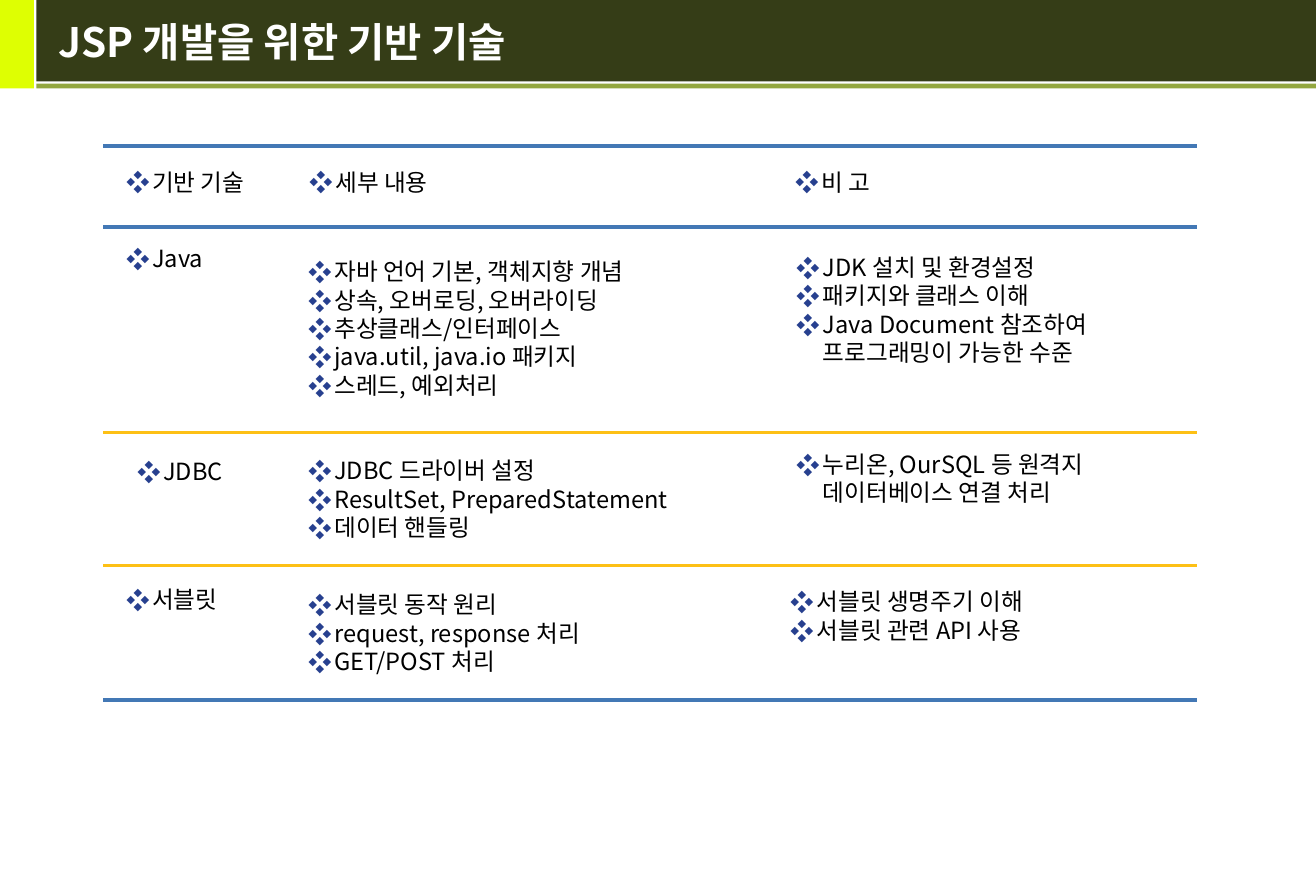
from dataclasses import dataclass

import lxml.etree
import pptx
import pptx.dml.color
import pptx.enum.shapes
import pptx.enum.text
import pptx.oxml.ns
import pptx.util

Cm = pptx.util.Cm
Pt = pptx.util.Pt
qn = pptx.oxml.ns.qn

FONT = "Noto Sans CJK KR"
COLORS = {
    "lime": "DEFF02",
    "dark": "353D17",
    "olive": "93A73F",
    "white": "FFFFFF",
    "black": "000000",
    "bullet": "27408F",
    "blue": "4378B5",
    "gold": "FDC015",
}
RULE_LEFT, RULE_RIGHT = 2.16, 25.02
BULLET_INDENT = Cm(0.54)


@dataclass(frozen=True)
class Box:
    left: float
    top: float
    width: float
    height: float

    def lengths(self) -> tuple:
        return Cm(self.left), Cm(self.top), Cm(self.width), Cm(self.height)


@dataclass(frozen=True)
class Band:
    box: Box
    color: str


@dataclass(frozen=True)
class Rule:
    y: float
    color: str
    weight: float


@dataclass(frozen=True)
class Cell:
    box: Box
    items: tuple[str, ...]


BANDS = [
    Band(Box(0, 0, 0.71, 1.85), "lime"),
    Band(Box(0.76, 0, 26.75, 1.7), "dark"),
    Band(Box(0.76, 1.75, 26.75, 0.1), "olive"),
]
RULES = [
    Rule(3.05, "blue", 2.25),
    Rule(4.75, "blue", 2.25),
    Rule(9.04, "gold", 1.5),
    Rule(11.81, "gold", 1.5),
    Rule(14.63, "blue", 2.25),
]
CELLS = [
    Cell(Box(2.39, 3.35, 4.98, 0.89), ("기반 기술",)),
    Cell(Box(6.22, 3.35, 6.12, 0.89), ("세부 내용",)),
    Cell(Box(16.38, 3.35, 7.42, 0.89), ("비 고",)),
    Cell(Box(2.39, 4.93, 3.12, 0.94), ("Java",)),
    Cell(Box(6.2, 5.33, 17.22, 3.05), (
        "자바 언어 기본, 객체지향 개념",
        "상속, 오버로딩, 오버라이딩",
        "추상클래스/인터페이스",
        "java.util, java.io 패키지",
        "스레드, 예외처리",
    )),
    Cell(Box(16.41, 4.83, 8.61, 3.28), (
        "JDK 설치 및 환경설정",
        "패키지와 클래스 이해",
        "Java Document 참조하여\n프로그래밍이 가능한 수준",
    )),
    Cell(Box(2.62, 9.25, 3.12, 1.17), ("JDBC",)),
    Cell(Box(6.2, 9.25, 10.9, 2.34), (
        "JDBC 드라이버 설정",
        "ResultSet, PreparedStatement",
        "데이터 핸들링",
    )),
    Cell(Box(16.41, 9.14, 8.61, 1.7), ("누리온, OurSQL 등 원격지\n데이터베이스 연결 처리",)),
    Cell(Box(2.39, 12.04, 3.12, 0.94), ("서블릿",)),
    Cell(Box(6.2, 12.04, 10.9, 2.36), (
        "서블릿 동작 원리",
        "request, response 처리",
        "GET/POST 처리",
    )),
    Cell(Box(16.28, 12.27, 8.53, 1.19), (
        "서블릿 생명주기 이해",
        "서블릿 관련 API 사용",
    )),
]


def rgb(name: str) -> pptx.dml.color.RGBColor:
    return pptx.dml.color.RGBColor.from_string(COLORS[name])


def add_band(s, band: Band) -> None:
    sp = s.shapes.add_shape(pptx.enum.shapes.MSO_SHAPE.RECTANGLE, *band.box.lengths())
    sp.shadow.inherit = False
    sp.fill.solid()
    sp.fill.fore_color.rgb = rgb(band.color)
    sp.line.fill.background()


def add_rule(s, rule: Rule) -> None:
    line = s.shapes.add_connector(
        pptx.enum.shapes.MSO_CONNECTOR.STRAIGHT,
        Cm(RULE_LEFT), Cm(rule.y), Cm(RULE_RIGHT), Cm(rule.y),
    )
    line.line.color.rgb = rgb(rule.color)
    line.line.width = Pt(rule.weight)
    lxml.etree.SubElement(line._element.spPr, qn("a:effectLst"))


def add_text_box(s, box: Box):
    tf = s.shapes.add_textbox(*box.lengths()).text_frame
    tf.word_wrap = True
    tf.vertical_anchor = pptx.enum.text.MSO_ANCHOR.MIDDLE
    return tf


def add_run(p, text: str, size: float, color: str, bold: bool = False) -> None:
    r = p.add_run()
    r.text = text
    r.font.size = Pt(size)
    r.font.bold = bold
    r.font.name = FONT
    r.font.color.rgb = rgb(color)
    lxml.etree.SubElement(r.font._element, qn("a:ea"), typeface=FONT)


def set_bullet(p) -> None:
    pPr = p._p.get_or_add_pPr()
    pPr.set("marL", str(BULLET_INDENT))
    pPr.set("indent", str(-BULLET_INDENT))
    color = lxml.etree.SubElement(pPr, qn("a:buClr"))
    lxml.etree.SubElement(color, qn("a:srgbClr"), val=COLORS["bullet"])
    lxml.etree.SubElement(pPr, qn("a:buFont"), typeface=FONT)
    lxml.etree.SubElement(pPr, qn("a:buChar"), char="❖")


def add_cell(s, cell: Cell) -> None:
    tf = add_text_box(s, cell.box)
    for i, item in enumerate(cell.items):
        p = tf.add_paragraph() if i else tf.paragraphs[0]
        p.line_spacing = Pt(16.8)
        set_bullet(p)
        for j, text in enumerate(item.split("\n")):
            if j:
                p.add_line_break()
            add_run(p, text, 14, "black")


def main() -> None:
    prs = pptx.Presentation()
    prs.slide_width, prs.slide_height = Cm(27.51), Cm(18.49)
    s = prs.slides.add_slide(prs.slide_layouts[6])
    for band in BANDS:
        add_band(s, band)
    title = add_text_box(s, Box(0.97, 0, 26.21, 1.73))
    add_run(title.paragraphs[0], "JSP 개발을 위한 기반 기술", 24, "white", bold=True)
    for cell in CELLS:
        add_cell(s, cell)
    for rule in RULES:
        add_rule(s, rule)
    prs.save("out.pptx")


if __name__ == "__main__":
    main()
